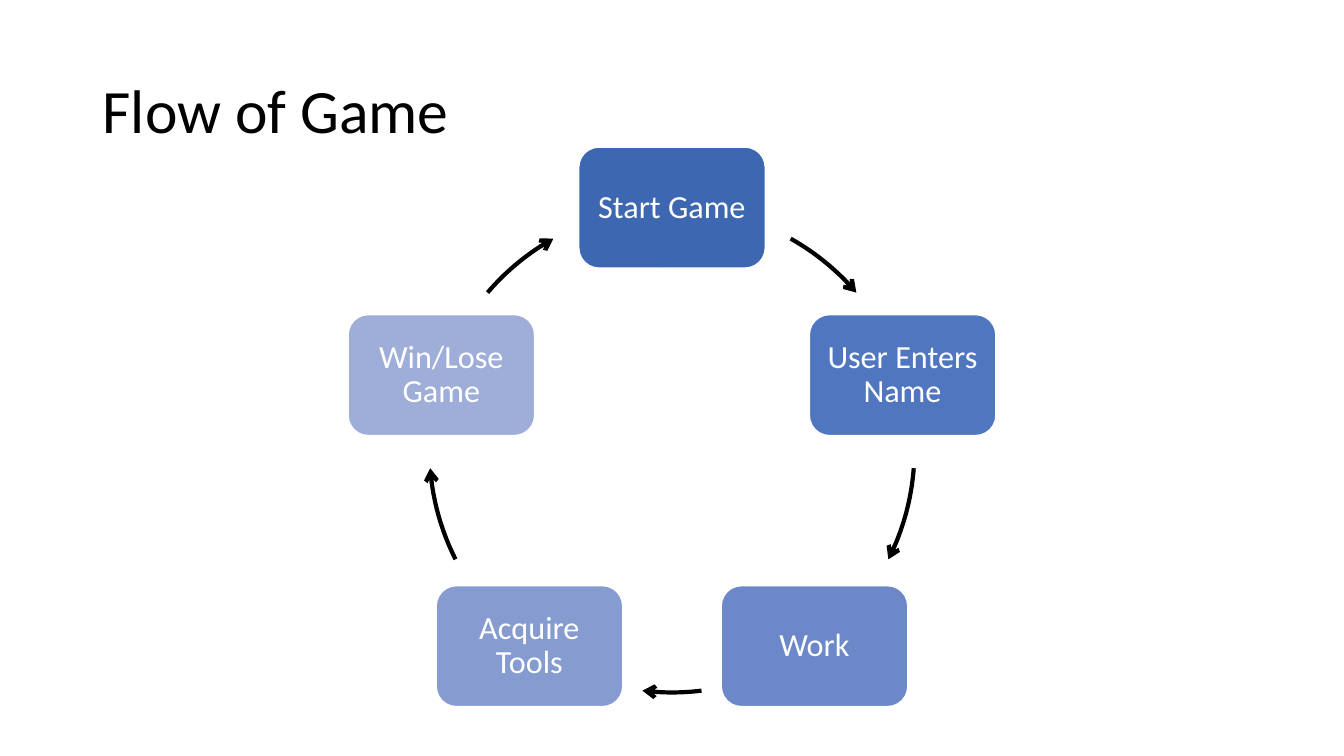
from dataclasses import dataclass
from math import cos, radians, sin

from lxml.etree import SubElement
from pptx import Presentation
from pptx.dml.color import RGBColor
from pptx.enum.shapes import MSO_SHAPE as Preset
from pptx.enum.text import MSO_ANCHOR as Anchor, PP_ALIGN as Align
from pptx.oxml.ns import qn
from pptx.util import Inches, Pt


@dataclass(frozen=True)
class Theme:
    font: str = "Calibri"
    title_size: int = 44
    step_size: int = 23
    ink: str = "000000"
    paper: str = "FFFFFF"
    outline: float = 1
    arrow: float = 3


@dataclass(frozen=True)
class Box:
    left: float
    top: float
    width: float
    height: float

    def inches(self):
        return [Inches(n) for n in (self.left, self.top, self.width, self.height)]


THEME = Theme()
STEPS = [
    ("Start Game", "3E67B2"),
    ("User Enters Name", "5176C0"),
    ("Work", "6C88C8"),
    ("Acquire Tools", "869BD0"),
    ("Win/Lose Game", "9FAED8"),
]
ARROW_ANGLES = [(29.3, 49.5), (94.3, 116.8), (173, 187), (243.2, 265.7), (310.5, 330.7)]
STEP_WIDTH, STEP_HEIGHT = 1.85, 1.2
ARC_SEGMENTS = 16


def write(shape, text, size, color, align):
    frame = shape.text_frame
    frame.word_wrap = True
    frame.vertical_anchor = Anchor.MIDDLE
    frame.margin_left = frame.margin_right = Inches(0.1)
    para = frame.paragraphs[0]
    para.text = text
    para.alignment = align
    para.line_spacing = 0.9
    para.font.name = THEME.font
    para.font.size = Pt(size)
    para.font.color.rgb = RGBColor.from_string(color)


def add_title(page, box, text):
    title = page.shapes.add_textbox(*box.inches())
    write(title, text, THEME.title_size, THEME.ink, Align.LEFT)


def add_step(page, box, text, color):
    step = page.shapes.add_shape(Preset.ROUNDED_RECTANGLE, *box.inches())
    step.shadow.inherit = False
    step.fill.solid()
    step.fill.fore_color.rgb = RGBColor.from_string(color)
    step.line.color.rgb = RGBColor.from_string(THEME.paper)
    step.line.width = Pt(THEME.outline)
    write(step, text, THEME.step_size, THEME.paper, Align.CENTER)


def point_on_ring(box, angle):
    radius = box.width / 2
    turn = radians(angle)
    return (box.left + radius * (1 + sin(turn)), box.top + radius * (1 - cos(turn)))


def frame_on_ring(arrow, box):
    left, top, width, height = box.inches()
    for outline in arrow.element.iter(qn("a:path")):
        outline.set("w", str(width))
        outline.set("h", str(height))
        for point in outline.iter(qn("a:pt")):
            point.set("x", str(int(point.get("x")) + arrow.left - left))
            point.set("y", str(int(point.get("y")) + arrow.top - top))
    arrow.left, arrow.top, arrow.width, arrow.height = left, top, width, height


def add_arc_arrow(page, box, start, end):
    stride = (end - start) / ARC_SEGMENTS
    points = [
        tuple(Inches(n) for n in point_on_ring(box, start + stride * i))
        for i in range(ARC_SEGMENTS + 1)
    ]
    builder = page.shapes.build_freeform(*points[0])
    builder.add_line_segments(points[1:], close=False)
    arrow = builder.convert_to_shape()
    frame_on_ring(arrow, box)
    arrow.shadow.inherit = False
    arrow.fill.background()
    arrow.line.color.rgb = RGBColor.from_string(THEME.ink)
    arrow.line.width = Pt(THEME.arrow)
    SubElement(arrow.line._get_or_add_ln(), qn("a:tailEnd"), type="arrow")


def add_cycle(page, box):
    for i, ((text, color), (start, end)) in enumerate(zip(STEPS, ARROW_ANGLES)):
        x, y = point_on_ring(box, 360 / len(STEPS) * i)
        step_box = Box(x - STEP_WIDTH / 2, y - STEP_HEIGHT / 2, STEP_WIDTH, STEP_HEIGHT)
        add_step(page, step_box, text, color)
        add_arc_arrow(page, box, start, end)


def main():
    deck = Presentation()
    deck.slide_width, deck.slide_height = Inches(13.33), Inches(7.5)
    page = deck.slides.add_slide(deck.slide_layouts[6])
    add_title(page, Box(0.92, 0.4, 11.5, 1.45), "Flow of Game")
    add_cycle(page, Box(4.26, 2.06, 4.81, 4.81))
    deck.save("out.pptx")


if __name__ == "__main__":
    main()
